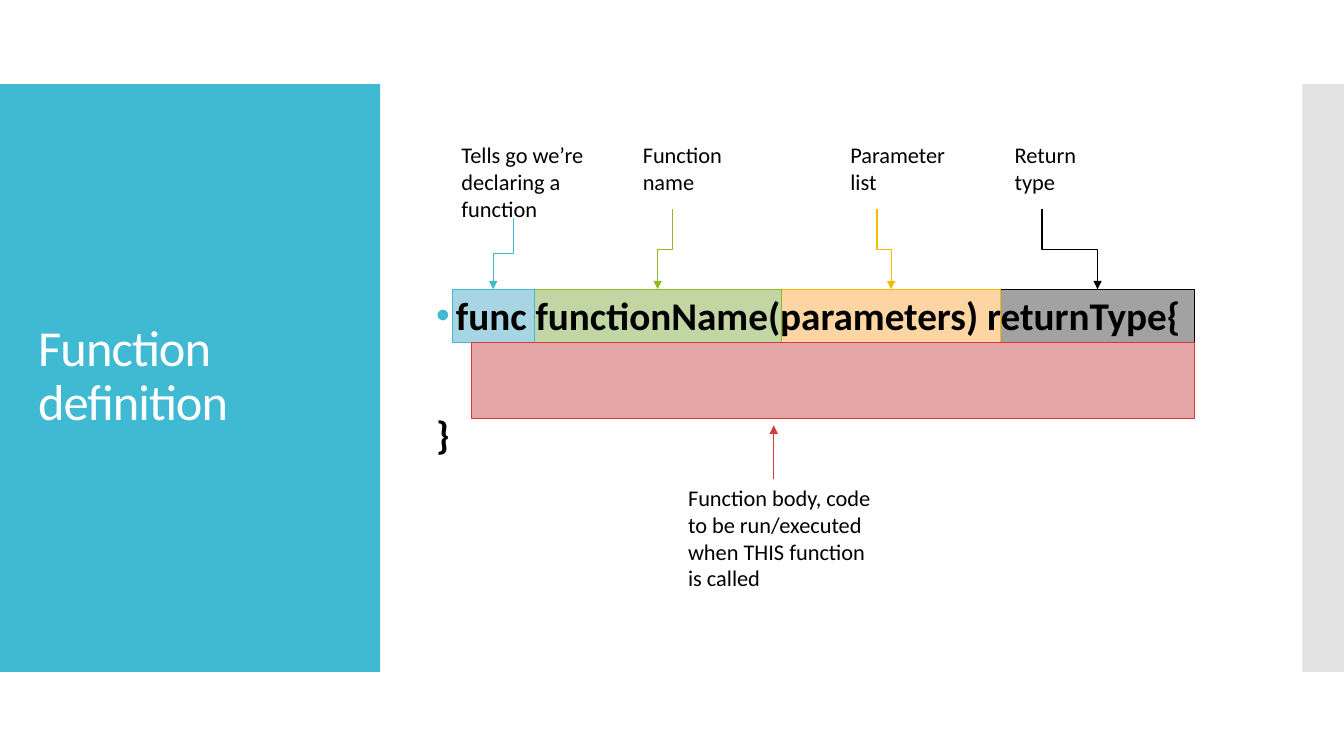
from lxml import etree
from pptx import Presentation
from pptx.dml.color import RGBColor
from pptx.enum import shapes, text
from pptx.oxml import ns
from pptx.util import Cm, Pt

BLACK = RGBColor(0, 0, 0)
WHITE = RGBColor(255, 255, 255)
TEAL = RGBColor(0x40, 0xBA, 0xD2)
PALE_TEAL = RGBColor(0xA7, 0xD5, 0xE3)
GREEN = RGBColor(0x90, 0xBB, 0x23)
PALE_GREEN = RGBColor(0xC1, 0xD6, 0xA3)
GOLD = RGBColor(0xFA, 0xB9, 0x00)
PALE_GOLD = RGBColor(0xFC, 0xD5, 0xA2)
RED = RGBColor(0xD5, 0x39, 0x3D)
PALE_RED = RGBColor(0xE5, 0xA6, 0xA6)
GREY = RGBColor(0xA2, 0xA2, 0xA2)
PALE_GREY = RGBColor(0xE3, 0xE3, 0xE3)

deck = Presentation()
deck.slide_width, deck.slide_height = Cm(33.87), Cm(19.05)
slide = deck.slides.add_slide(deck.slide_layouts[6])


def add_box(left, top, width, height, fill, line=None):
    box = slide.shapes.add_shape(shapes.MSO_SHAPE.RECTANGLE,
                                 Cm(left), Cm(top), Cm(width), Cm(height))
    box.shadow.inherit = False
    box.fill.solid()
    box.fill.fore_color.rgb = fill
    if line is None:
        box.line.fill.background()
    else:
        box.line.color.rgb = line
        box.line.width = Pt(0.75)


def add_text(left, top, width, height, lines, size, color=BLACK):
    box = slide.shapes.add_textbox(Cm(left), Cm(top), Cm(width), Cm(height))
    frame = box.text_frame
    frame.word_wrap = True
    frame.text = "\n".join(lines)
    for para in frame.paragraphs:
        para.font.name = "Calibri"
        para.font.size = Pt(size)
        para.font.color.rgb = color
    return frame


# Side panels
add_box(0, 2.12, 9.58, 14.81, TEAL)
add_box(32.82, 2.12, 1.05, 14.81, PALE_GREY)

# Parts of the signature, right to left:
# left edge, fill, line, label, label left, label width, arrow start x and y
parts = [
    (25.22, GREY, BLACK, "Return type", 25.32, 2.34, 26.26, 5.28),
    (19.69, PALE_GOLD, GOLD, "Parameter list", 21.18, 3.05, 22.1, 5.28),
    (13.46, PALE_GREEN, GREEN, "Function name", 15.95, 3.53, 16.94, 5.28),
    (11.4, PALE_TEAL, TEAL, "Tells go we’re declaring a function",
     11.38, 3.71, 12.95, 5.49),
]
TOP, HIGH, RIGHT = 7.29, 1.35, 30.1
arrows = []
edge = RIGHT
for left, fill, line, label, label_x, label_w, from_x, from_y in parts:
    add_box(left, TOP, edge - left, HIGH, fill, line)
    add_text(label_x, 3.44, label_w, 1.63, [label], 16)
    arrows.append((from_x, from_y, (left + edge) / 2, TOP, line))
    edge = left

# Title
title = add_text(0.71, 3.12, 8.18, 12.78, ["Function definition"], 36, WHITE)
title.vertical_anchor = text.MSO_ANCHOR.MIDDLE
title.paragraphs[0].line_spacing = 0.9
title.paragraphs[0].runs[0].font._element.set("spc", "-60")

# Code: the closing brace stands one line below the body
code = add_text(10.74, 2.39, 20.32, 14.22,
                ["func functionName(parameters) returnType{", "}"], 28)
code.vertical_anchor = text.MSO_ANCHOR.MIDDLE
for para, gap in zip(code.paragraphs, (12, 54.5)):
    para.font.bold = True
    para.line_spacing = 0.9
    para.space_before = Pt(gap)
props = code.paragraphs[0]._p.get_or_add_pPr()
props.set("marL", str(Cm(0.5)))
props.set("indent", str(Cm(-0.5)))
bullet = etree.fromstring(
    f'<a:r {ns.nsdecls("a")}><a:buClr><a:srgbClr val="{TEAL}"/></a:buClr>'
    '<a:buFont typeface="Arial"/><a:buChar char="•"/></a:r>')
spot = props.find(ns.qn("a:defRPr"))
for item in list(bullet):
    if spot is None:
        props.append(item)
    else:
        spot.addprevious(item)

# Function body
add_box(11.89, TOP + HIGH, RIGHT - 11.89, 1.9, PALE_RED, RED)
add_text(17.09, 12.07, 5.18, 3.68,
         ["Function body, code to be run/executed when THIS function is called"],
         16)
arrows.append((19.5, 12.07, 19.5, 10.72, RED))

# Arrows: an elbow is laid flat around its centre, then turned upright
for x1, y1, x2, y2, color in arrows:
    kind, turn = shapes.MSO_CONNECTOR.STRAIGHT, 0
    ends = x1, y1, x2, y2
    if x1 != x2:
        kind = shapes.MSO_CONNECTOR.ELBOW
        side, turn = (1, 270) if x2 > x1 else (-1, 90)
        mid_x, mid_y = (x1 + x2) / 2, (y1 + y2) / 2
        run, rise = side * (y2 - y1) / 2, abs(x2 - x1) / 2
        ends = mid_x + run, mid_y - rise, mid_x - run, mid_y + rise
    arrow = slide.shapes.add_connector(kind, *[Cm(end) for end in ends])
    arrow.line.color.rgb = color
    arrow.line.width = Pt(0.75)
    shape = arrow._element.spPr
    if turn:
        shape.find(ns.qn("a:xfrm")).set("rot", str(turn * 60000))
    tip = etree.SubElement(shape.find(ns.qn("a:ln")), ns.qn("a:tailEnd"))
    tip.set("type", "triangle")
    etree.SubElement(shape, ns.qn("a:effectLst"))

deck.save("out.pptx")
